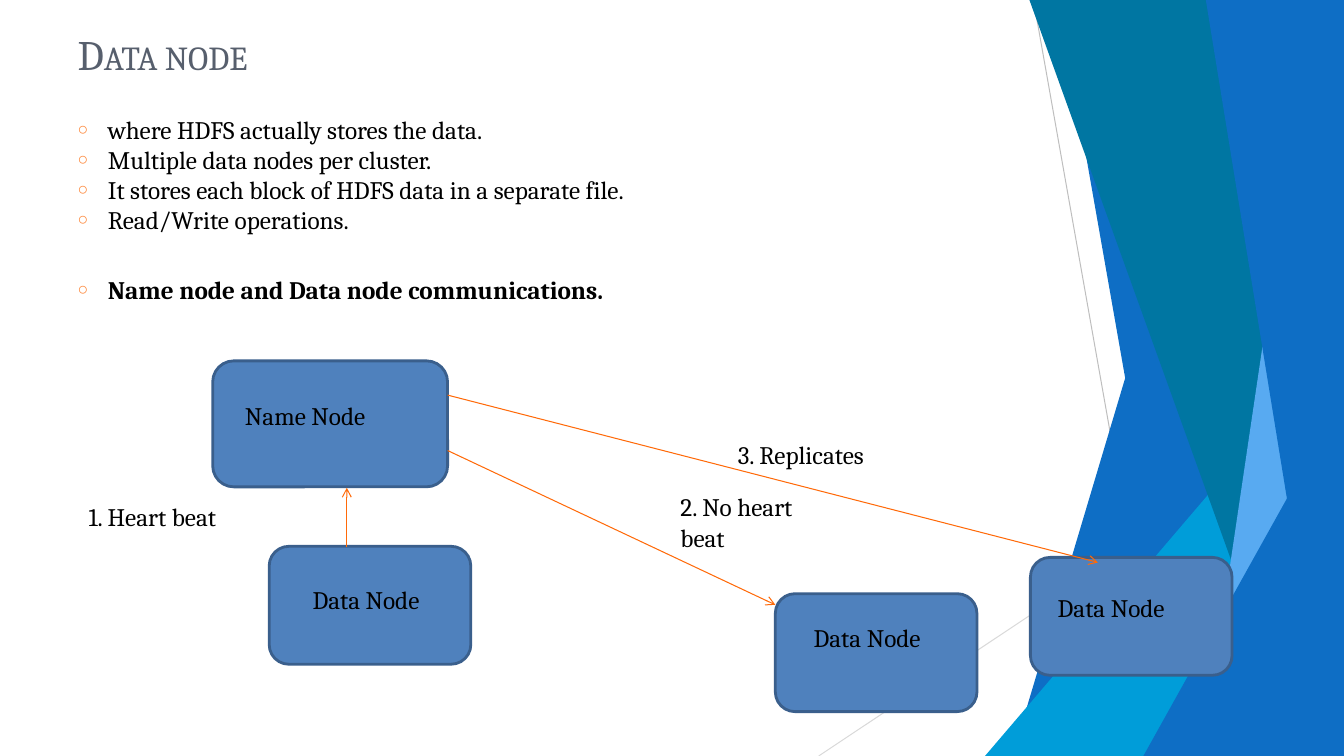
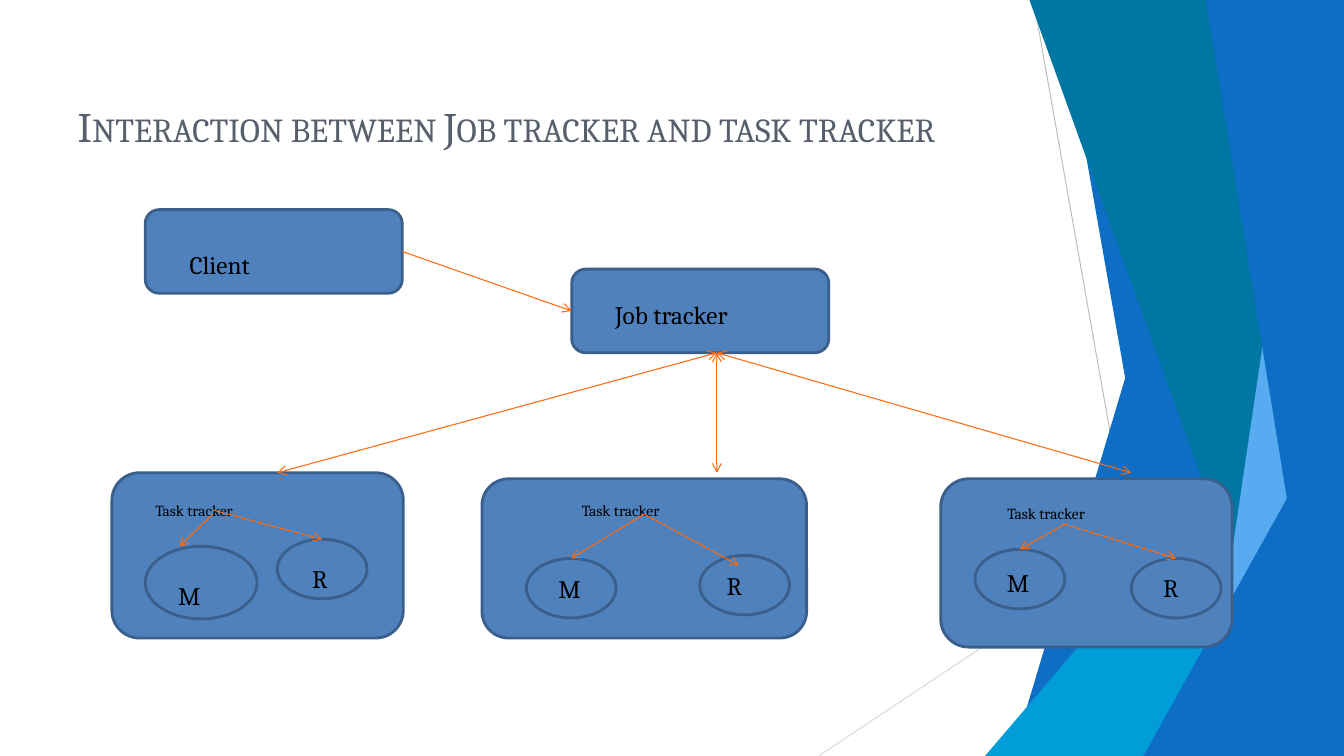
"""Build two slides on data nodes and on job and task trackers."""
from lxml.etree import SubElement
from pptx import Presentation
from pptx.dml.color import RGBColor
from pptx.enum.shapes import MSO_CONNECTOR as Connector, MSO_SHAPE as Shape
from pptx.enum.text import MSO_ANCHOR as Anchor, MSO_AUTO_SIZE as AutoSize, PP_ALIGN as Align
from pptx.oxml.ns import qn
from pptx.util import Inches, Pt

COLORS = {
    "title": "575F6D", "text": "000000", "bullet": "FE8637", "arrow": "FF6A09",
    "node": "4F81BD", "outline": "3A5F8C", "light": "BEBEBE", "pale": "D9D9D9",
    "blue": "0E6EC5", "cyan": "009DD9", "teal": "0076A2", "sky": "58AAF1",
}
FONT = "Cambria"
WIDTH, HEIGHT = 13.33, 7.5
CORNER = 0.167
ROUND_INSET, OVAL_INSET = 0.29, 0.15
RAYS = [((10.25, 0), (11.58, HEIGHT), "light"), ((WIDTH, 4.03), (8.12, HEIGHT), "pale")]
BANDS = [
    ((12.28, 0), 10.04, "blue"), ((10.5, 0), 11.82, "blue"),
    ((WIDTH, 3.33), 9.77, "cyan"), ((10.21, 0), 12.91, "teal"),
    ((13.03, 0), 11.92, "sky"), ((11.96, 0), 13.18, "blue"),
    ((WIDTH, 3.93), 11.34, "blue"),
]
BULLETS = [
    "where HDFS actually stores the data.",
    "Multiple data nodes per cluster.",
    "It stores each block of HDFS data in a separate file.",
    "Read/Write operations.",
]


def color(name):
    """Return the named palette colour."""
    return RGBColor.from_string(COLORS[name])


def write(paragraph, text, size=18, bold=False, ink="text", small_caps=False, before=0):
    """Put one formatted run into a paragraph."""
    paragraph.alignment = Align.LEFT
    paragraph.space_before = Pt(before)
    run = paragraph.add_run()
    run.text = text
    run.font.name, run.font.size, run.font.bold = FONT, Pt(size), bold
    run.font.color.rgb = color(ink)
    if small_caps:
        run.font._element.set("cap", "small")


def place(shape, left, top, width, height):
    """Move and size a shape in inches."""
    shape.left, shape.top = Inches(left), Inches(top)
    shape.width, shape.height = Inches(width), Inches(height)


def add_title(slide, text, width, height):
    """Fill the title placeholder in small capitals."""
    title = slide.shapes.title
    place(title, 0.67, 0.3, width, height)
    frame = title.text_frame
    frame.auto_size, frame.vertical_anchor = AutoSize.NONE, Anchor.BOTTOM
    write(frame.paragraphs[0], text, size=30, ink="title", small_caps=True)


def add_bullet(paragraph, text, **style):
    """Write a paragraph with a hanging circle bullet."""
    properties = paragraph._p.get_or_add_pPr()
    properties.set("marL", str(Inches(0.3)))
    properties.set("indent", str(-Inches(0.3)))
    tint = SubElement(properties, qn("a:buClr"))
    SubElement(tint, qn("a:srgbClr"), val=COLORS["bullet"])
    SubElement(properties, qn("a:buSzPct"), val="70000")
    SubElement(properties, qn("a:buChar"), char="○")
    write(paragraph, text, **style)


def add_body(slide):
    """Fill the body placeholder with the data node facts."""
    body = slide.placeholders[1]
    place(body, 0.67, 1.08, 10.89, 6)
    frame = body.text_frame
    frame.auto_size = AutoSize.NONE
    add_bullet(frame.paragraphs[0], BULLETS[0])
    for text in BULLETS[1:]:
        add_bullet(frame.add_paragraph(), text)
    add_bullet(frame.add_paragraph(), "Name node and Data node communications.",
               bold=True, before=28.5)


def add_label(slide, text, left, top, width, height):
    """Add a wrapping text box."""
    box = slide.shapes.add_textbox(*map(Inches, (left, top, width, height)))
    box.text_frame.word_wrap = True
    write(box.text_frame.paragraphs[0], text)


def add_node(slide, text, box, offset, kind=Shape.ROUNDED_RECTANGLE, size=18):
    """Add an outlined node whose text starts at an offset from its corner."""
    width, height = box[2:]
    shape = slide.shapes.add_shape(kind, *map(Inches, box))
    shape.shadow.inherit = False
    shape.fill.solid()
    shape.fill.fore_color.rgb = color("node")
    shape.line.color.rgb = color("outline")
    shape.line.width = Pt(2)
    if kind == Shape.OVAL:
        insets = (OVAL_INSET * width, OVAL_INSET * height)
    else:
        shape.adjustments[0] = CORNER
        insets = (ROUND_INSET * CORNER * min(width, height),) * 2
    frame = shape.text_frame
    frame.word_wrap, frame.vertical_anchor = True, Anchor.TOP
    frame.margin_left, frame.margin_top = (
        Inches(start - inset) for start, inset in zip(offset, insets))
    frame.margin_right = frame.margin_bottom = 0
    write(frame.paragraphs[0], text, size=size)
    return shape


def add_line(slide, start, end, ink, width):
    """Add a straight line without shadow."""
    line = slide.shapes.add_connector(Connector.STRAIGHT, *map(Inches, (*start, *end)))
    line.line.color.rgb = color(ink)
    line.line.width = Pt(width)
    SubElement(line._element.spPr, qn("a:effectLst"))
    return line


def add_arrow(slide, start, end, both=False, source=None, target=None):
    """Add an arrow, joined to (shape, side) pairs where given."""
    arrow = add_line(slide, start, end, "arrow", 0.75)
    outline = arrow.line._get_or_add_ln()
    for tag in ("a:headEnd", "a:tailEnd") if both else ("a:tailEnd",):
        SubElement(outline, qn(tag), type="arrow")
    if source:
        arrow.begin_connect(*source)
    if target:
        arrow.end_connect(*target)


def add_band(slide, corner, foot, ink):
    """Add a band from its upper corner and foot to the right slide edge."""
    points = [corner, (foot, HEIGHT), (WIDTH, HEIGHT)]
    builder = slide.shapes.build_freeform(Inches(WIDTH), Inches(corner[1]))
    builder.add_line_segments([(Inches(x), Inches(y)) for x, y in points], close=True)
    band = builder.convert_to_shape()
    band.shadow.inherit = False
    band.fill.solid()
    band.fill.fore_color.rgb = color(ink)
    band.line.fill.background()
    return band


def decorate_master(presentation, slide):
    """Draw the rays and bands and move them to the slide master."""
    shapes = [add_line(slide, *ray, 0.72) for ray in RAYS]
    shapes += [add_band(slide, *band) for band in BANDS]
    for shape in shapes:
        presentation.slide_master.shapes.element.append(shape.element)


def build_data_node(slide):
    """Fill the data node slide."""
    add_title(slide, "Data node", 10.89, 0.53)
    add_body(slide)
    add_node(slide, "Name Node", (2.11, 3.58, 2.33, 1.25), (0.32, 0.39))
    for left, top, offset in [(2.67, 5.42, (0.43, 0.38)), (7.69, 5.89, (0.38, 0.28)),
                              (10.22, 5.53, (0.27, 0.35))]:
        add_node(slide, "Data Node", (left, top, 2, 1.17), offset)
    add_arrow(slide, (4.44, 3.92), (10.89, 5.58))
    add_arrow(slide, (4.44, 4.47), (7.69, 6))
    add_arrow(slide, (3.44, 5.43), (3.44, 4.84))
    add_label(slide, "3. Replicates", 7.22, 4.31, 3.17, 0.4)
    add_label(slide, "2. No heart beat", 6.65, 4.83, 1.55, 1)
    add_label(slide, "1. Heart beat", 0.78, 4.92, 2.22, 0.7)


def add_tracker(slide, box, offset, tasks):
    """Add a task tracker with arrows to its map and reduce tasks."""
    add_node(slide, "Task tracker", box, offset, size=11)
    for text, oval, text_offset, start, end in tasks:
        task = add_node(slide, text, oval, text_offset, kind=Shape.OVAL)
        top_middle = (oval[0] + oval[2] / 2, oval[1])
        add_arrow(slide, start, end or top_middle, target=None if end else (task, 0))


def build_trackers(slide):
    """Fill the job tracker and task tracker slide."""
    add_title(slide, "Interaction between Job tracker and task tracker", 11.11, 1.25)
    client = add_node(slide, "Client", (1.44, 2.08, 2.55, 0.83), (0.44, 0.39))
    job = add_node(slide, "Job tracker", (5.67, 2.67, 2.55, 0.83), (0.43, 0.3))
    add_tracker(slide, (1.11, 4.69, 2.89, 1.64), (0.43, 0.28), [
        ("M", (1.44, 5.42, 1.11, 0.72), (0.33, 0.34), (2.11, 5.1), (1.78, 5.42)),
        ("R", (2.75, 5.35, 0.89, 0.59), (0.35, 0.24), (2.11, 5.06), None)])
    add_tracker(slide, (4.78, 4.75, 3.22, 1.58), (0.99, 0.22), [
        ("M", (5.22, 5.54, 0.89, 0.59), (0.32, 0.15), (6.39, 5.1), None),
        ("R", (6.94, 5.51, 0.89, 0.59), (0.27, 0.15), (6.39, 5.1), (7.33, 5.61))])
    add_tracker(slide, (9.33, 4.75, 2.89, 1.67), (0.66, 0.25), [
        ("M", (9.67, 5.45, 0.89, 0.59), (0.32, 0.18), (10.56, 5.2), None),
        ("R", (11.22, 5.54, 0.89, 0.59), (0.32, 0.14), (10.56, 5.2), None)])
    add_arrow(slide, (3.99, 2.5), (5.67, 3.08), source=(client, 3), target=(job, 1))
    for x in (2.75, 7.11, 11.22):
        add_arrow(slide, (7.11, 3.5), (x, 4.69), both=True)


def main():
    """Build and save the presentation."""
    presentation = Presentation()
    presentation.slide_width, presentation.slide_height = Inches(WIDTH), Inches(HEIGHT)
    layouts = presentation.slide_layouts
    data_node = presentation.slides.add_slide(layouts.get_by_name("Title and Content"))
    decorate_master(presentation, data_node)
    build_data_node(data_node)
    build_trackers(presentation.slides.add_slide(layouts.get_by_name("Title Only")))
    presentation.save("out.pptx")


if __name__ == "__main__":
    main()
